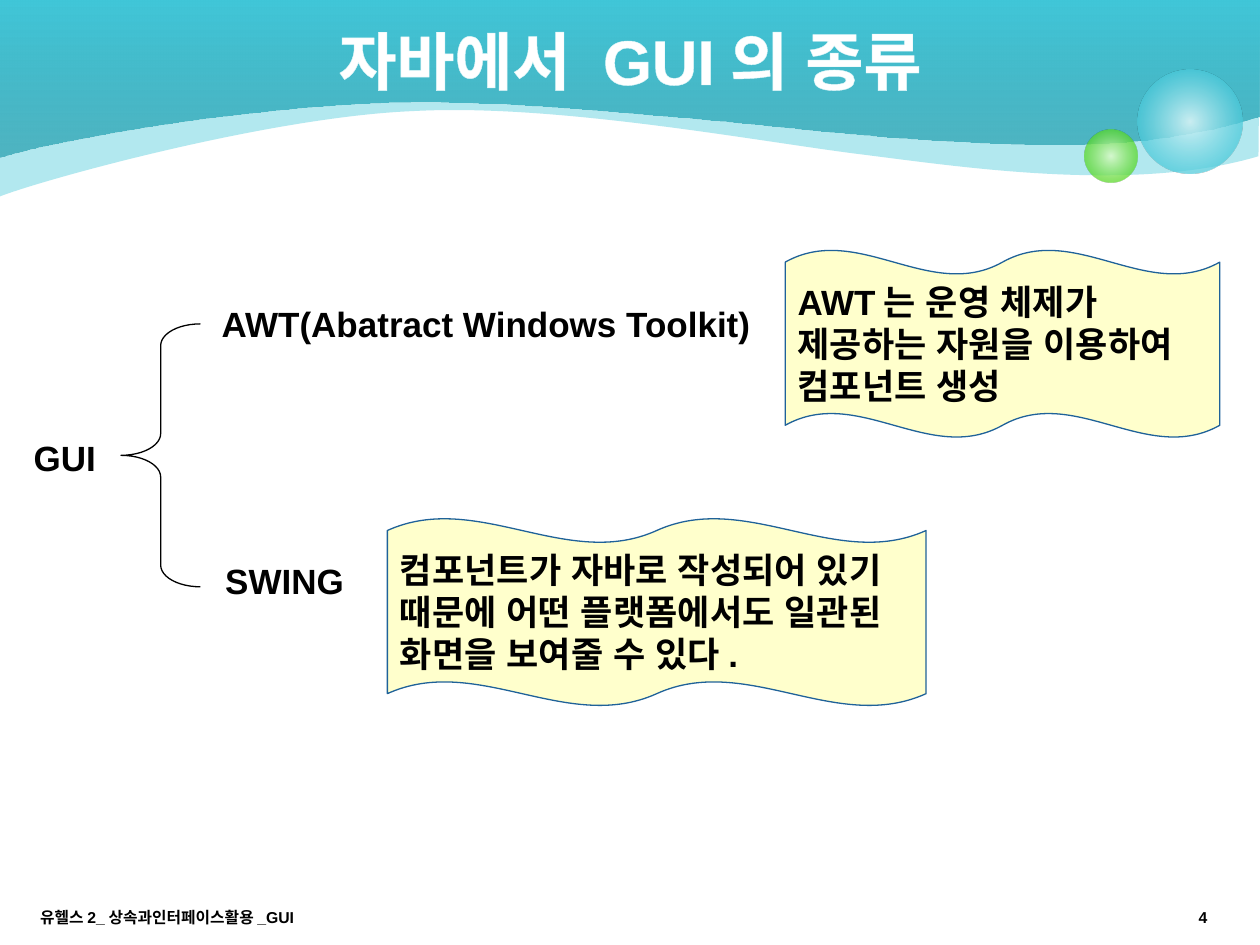
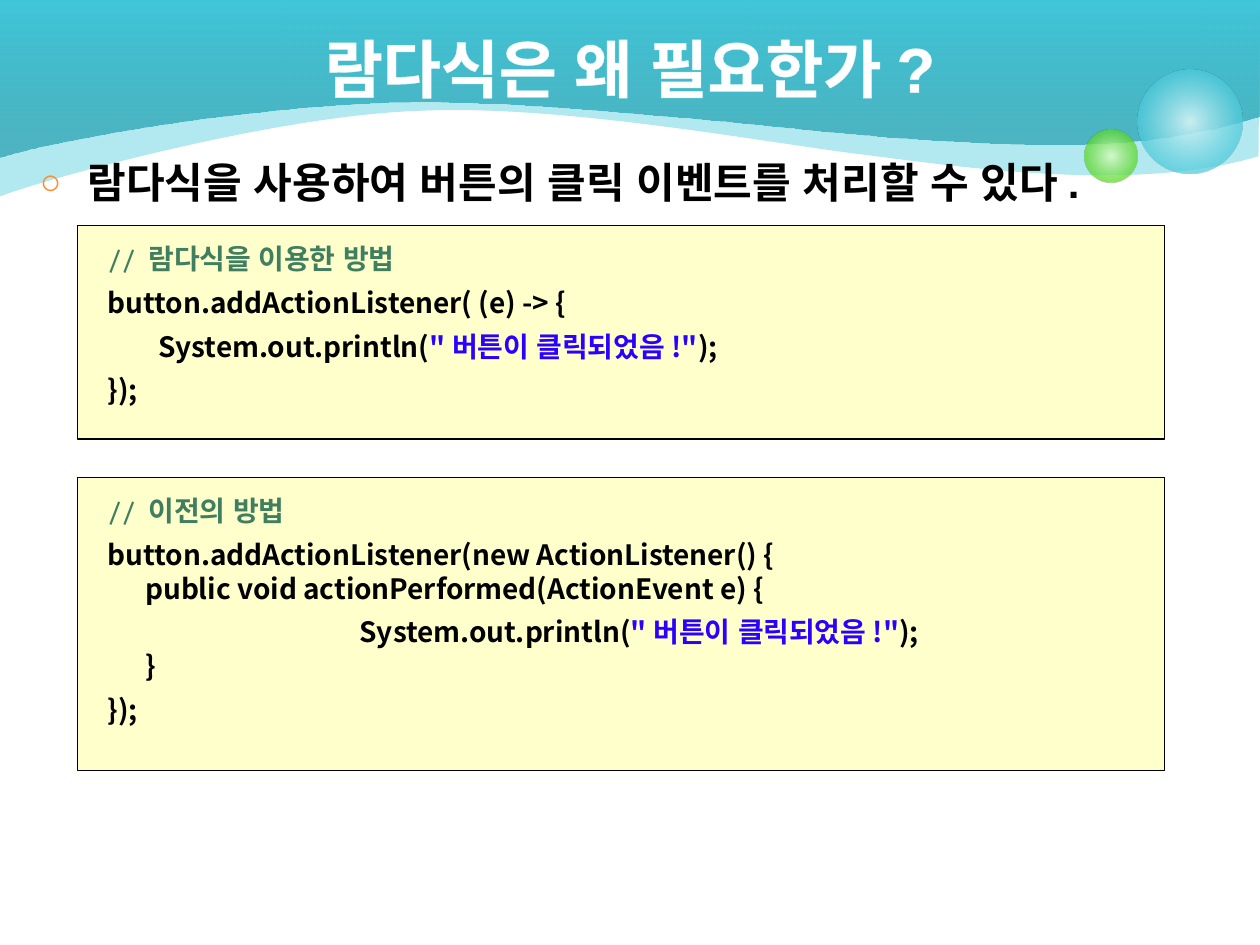
import dataclasses

import pptx
import pptx.dml.color
import pptx.enum.shapes
import pptx.enum.text
import pptx.oxml
import pptx.oxml.ns
import pptx.util

Cm = pptx.util.Cm
Pt = pptx.util.Pt
Preset = pptx.enum.shapes.MSO_SHAPE
Align = pptx.enum.text.PP_ALIGN
Anchor = pptx.enum.text.MSO_ANCHOR
AutoSize = pptx.enum.text.MSO_AUTO_SIZE


@dataclasses.dataclass(frozen=True)
class Theme:
    """Colours, fonts and type sizes of the deck."""
    ink: str = "000000"
    white: str = "FFFFFF"
    aqua: str = "40C6D8"
    deep_aqua: str = "249EAE"
    pale_aqua: str = "D9F4F7"
    green: str = "4CD416"
    pale_green: str = "DAFACD"
    orange: str = "FE8C2E"
    note: str = "FFFFCC"
    note_edge: str = "1F6299"
    comment: str = "3F7F5F"
    string: str = "2A00FF"
    main: str = "Arial"
    serif: str = "Cambria"
    korean: str = "Noto Sans CJK KR"
    title_size: int = 36
    lead_size: int = 24
    label_size: int = 20
    code_size: int = 16
    footer_size: int = 9


THEME = Theme()
WIDTH, HEIGHT = 25.4, 19.05
CODE_TABS = (0.76, 2.54, 5.08)
BACK_WAVE = [(0, 3.96), (0.84, 3.63), (5.41, 2.36), (8.33, 2.24), (11.23, 2.08),
             (15.37, 2.87), (17.42, 3.12), (19.48, 3.38), (22.89, 3.89), (25.37, 3.15)]
FRONT_WAVE = [(0, 3.18), (1.14, 2.82), (5.16, 2.11), (8.28, 2.06), (11.38, 2.01),
              (16.71, 2.72), (18.69, 2.82), (20.7, 2.92), (22.89, 3.12), (25.37, 2.36)]
PRINT_SPANS = [("System.out.println(", "ink", "korean"),
               ('"버튼이 클릭되었음!"', "string", "korean"), (");", "ink", "korean")]
LAMBDA_CODE = [
    (1.3, [("// ", "comment", "serif"), ("람다식을 이용한 방법", "comment", "korean")]),
    (1.3, [("button.addActionListener( (e) -> {", "ink", "korean")]),
    (1.3, [("        " + PRINT_SPANS[0][0], "ink", "korean"), *PRINT_SPANS[1:]]),
    (1.3, [("});", "ink", "korean")]),
]
LISTENER_CODE = [
    (1.3, [("// 이전의 ", "comment", "serif"), ("방법", "comment", "korean")]),
    (1.3, [("button.addActionListener(new ActionListener() {", "ink", "korean")]),
    (1, [("\tpublic void actionPerformed(ActionEvent e) {", "ink", "korean")]),
    (1.3, [("\t\t\t" + PRINT_SPANS[0][0], "ink", "korean"), *PRINT_SPANS[1:]]),
    (1, [("\t}", "ink", "korean")]),
    (1.3, [("});", "ink", "korean")]),
]


def rgb(code):
    """Turn a hex code into a colour."""
    return pptx.dml.color.RGBColor.from_string(code)


def element(tag, body="", **attributes):
    """Make a drawing element with optional inner markup."""
    listed = "".join(f' {name}="{value}"' for name, value in attributes.items())
    return pptx.oxml.parse_xml(f'<a:{tag} {pptx.oxml.ns.nsdecls("a")}{listed}>{body}</a:{tag}>')


def colour(code, opacity=100):
    """Give the markup of a colour with its opacity in percent."""
    return f'<a:srgbClr val="{code}"><a:alpha val="{opacity * 1000}"/></a:srgbClr>'


def gradient(stops, direction):
    """Make a gradient fill from (position, colour, opacity) stops."""
    marks = "".join(f'<a:gs pos="{place * 1000}">{colour(code, opacity)}</a:gs>'
                    for place, code, opacity in stops)
    return element("gradFill", f"<a:gsLst>{marks}</a:gsLst>{direction}", rotWithShape=1)


def write(para, text, size, color=THEME.ink, latin=THEME.main, outline=None, align=None):
    """Append bold text to a paragraph in the given format."""
    if align is not None:
        para.alignment = align
    span = para.add_run()
    span.text = text
    font = span.font
    font.size, font.bold, font.name = Pt(size), True, latin
    font.color.rgb = rgb(color)
    properties = span._r.get_or_add_rPr()
    properties.find(pptx.oxml.ns.qn("a:latin")).addnext(element("ea", typeface=THEME.main))
    if outline:
        properties.insert(0, element("ln", f"<a:solidFill>{colour(outline)}</a:solidFill>", w=6350))


def style(shape, fill=None, line=None):
    """Set the plain fill and thin outline of a shape."""
    shape.shadow.inherit = False
    if fill:
        shape.fill.solid()
        shape.fill.fore_color.rgb = rgb(fill)
    else:
        shape.fill.background()
    if line:
        shape.line.color.rgb = rgb(line)
        shape.line.width = Pt(0.75)
    else:
        shape.line.fill.background()
    return shape


def add_preset(page, preset, place, adjustments=(), **look):
    """Add a preset shape at left, top, width and height in centimetres."""
    shape = page.shapes.add_shape(preset, *map(Cm, place))
    for index, value in enumerate(adjustments):
        shape.adjustments[index] = value
    return style(shape, **look)


def paint(shape, fill):
    """Give a shape a translucent fill and no outline."""
    style(shape)
    properties = shape.element.spPr
    properties.replace(properties.find(pptx.oxml.ns.qn("a:noFill")), fill)
    return shape


def bend(shape, first, last):
    """Turn each three line segments from first up to last into one cubic curve."""
    segments = shape.element.xpath(".//a:lnTo")[first:last]
    for start in range(0, len(segments), 3):
        group = segments[start:start + 3]
        curve = element("cubicBezTo")
        group[0].addprevious(curve)
        for segment in group:
            curve.append(segment[0])
            segment.getparent().remove(segment)


def add_wave(page, nodes, fill):
    """Add a band from the page top down to a wavy edge."""
    builder = page.shapes.build_freeform(0, 0)
    outline = nodes + [(WIDTH, 0)]
    builder.add_line_segments([(Cm(x), Cm(y)) for x, y in outline], close=True)
    wave = builder.convert_to_shape()
    bend(wave, 1, len(nodes))
    return paint(wave, fill)


def add_bubble(page, left, top, size, pale, strong):
    """Add a translucent round bubble."""
    direction = ('<a:path path="circle"><a:fillToRect l="50000" t="50000" r="50000" b="50000"/>'
                 '</a:path>')
    fill = gradient([(0, pale, 90), (76, strong, 70)], direction)
    return paint(add_preset(page, Preset.OVAL, (left, top, size, size)), fill)


def decorate_master(deck, page):
    """Draw the header art and move it to the slide master."""
    art = [
        add_wave(page, BACK_WAVE, element("solidFill", colour(THEME.aqua, 40))),
        add_wave(page, FRONT_WAVE, gradient(
            [(0, THEME.deep_aqua, 69), (100, THEME.aqua, 100)], '<a:lin ang="16200000" scaled="0"/>')),
        add_bubble(page, 22.94, 1.4, 2.1, THEME.pale_aqua, THEME.aqua),
        add_bubble(page, 21.87, 2.61, 1.06, THEME.pale_green, THEME.green),
    ]
    tree = deck.slide_master.shapes.element
    for index, shape in enumerate(art):
        shape.element.nvSpPr.cNvPr.set("id", str(100 + index))
        tree.insert(2 + index, shape.element)


def move(shape, left, top, width, height):
    """Place a shape by centimetres."""
    shape.left, shape.top, shape.width, shape.height = map(Cm, (left, top, width, height))


def set_title(page, text, height):
    """Fill the title placeholder."""
    title = page.shapes.title
    move(title, 1.27, 0, 22.86, height)
    title.text_frame.vertical_anchor = Anchor.MIDDLE
    write(title.text_frame.paragraphs[0], text, THEME.title_size, color=THEME.white,
          outline=THEME.pale_aqua, align=Align.CENTER)


def set_lead(page, text):
    """Fill the body placeholder with one ring-bulleted line."""
    body = page.placeholders[1]
    move(body, 0.55, 3.03, 24.23, 14.88)
    para = body.text_frame.paragraphs[0]
    properties = para._p.get_or_add_pPr()
    properties.set("marL", str(Cm(0.96)))
    properties.set("indent", str(-Cm(0.96)))
    properties.extend([element("buClr", colour(THEME.orange)),
                       element("buSzPct", val=85000), element("buChar", char="○")])
    para.space_before = Pt(0)
    write(para, text, THEME.lead_size)


def add_label(page, text, *place):
    """Add a one-line label that grows with its text."""
    frame = page.shapes.add_textbox(*map(Cm, place)).text_frame
    frame.word_wrap = False
    frame.auto_size = AutoSize.SHAPE_TO_FIT_TEXT
    write(frame.paragraphs[0], text, THEME.label_size)


def add_note(page, text, *place):
    """Add a wavy note."""
    note = add_preset(page, Preset.DOUBLE_WAVE, place, (0.065, 0),
                      fill=THEME.note, line=THEME.note_edge)
    frame = note.text_frame
    frame.word_wrap = True
    frame.auto_size = AutoSize.SHAPE_TO_FIT_TEXT
    frame.vertical_anchor = Anchor.TOP
    write(frame.paragraphs[0], text, THEME.label_size, align=Align.LEFT)


def add_footer(page, text, left, width, align):
    """Add a small footer text."""
    frame = page.shapes.add_textbox(Cm(left), Cm(18.15), Cm(width), Cm(0.69)).text_frame
    frame.word_wrap = True
    frame.vertical_anchor = Anchor.MIDDLE
    write(frame.paragraphs[0], text, THEME.footer_size, align=align)


def add_code(page, lines, top, height):
    """Add a framed box of coloured code."""
    box = add_preset(page, Preset.RECTANGLE, (1.57, top, 21.91, height),
                     fill=THEME.note, line=THEME.ink)
    frame = box.text_frame
    frame.word_wrap = True
    frame.vertical_anchor = Anchor.TOP
    stops = "".join(f'<a:tab pos="{Cm(tab)}" algn="l"/>' for tab in CODE_TABS)
    for index, (spacing, spans) in enumerate(lines):
        para = frame.add_paragraph() if index else frame.paragraphs[0]
        properties = para._p.get_or_add_pPr()
        properties.set("marL", str(Cm(0.35)))
        properties.append(element("tabLst", stops))
        para.line_spacing = float(spacing)
        for text, color, font in spans:
            write(para, text, THEME.code_size, color=getattr(THEME, color),
                  latin=getattr(THEME, font), align=Align.LEFT)


def build_gui_kinds(page):
    """Show the two GUI toolkits as a bracketed tree."""
    set_title(page, "자바에서 GUI의 종류", 2.41)
    add_preset(page, Preset.LEFT_BRACE, (2.44, 6.53, 1.6, 5.3), (0.274, 0.5), line=THEME.ink)
    add_label(page, "GUI", 0.43, 8.67, 1.78, 1.12)
    add_label(page, "AWT(Abatract Windows Toolkit)", 4.22, 5.97, 11.46, 1.12)
    add_label(page, "SWING", 4.29, 11.15, 2.95, 1.12)
    add_note(page, "AWT는 운영 체제가 제공하는 자원을 이용하여 컴포넌트 생성", 15.83, 5.04, 8.76, 3.78)
    add_note(page, "컴포넌트가 자바로 작성되어 있기 때문에 어떤 플랫폼에서도 일관된 화면을 보여줄 수 있다.",
             7.81, 10.45, 10.86, 3.78)
    add_footer(page, "4", 18.67, 5.92, Align.RIGHT)
    add_footer(page, "유헬스2_상속과인터페이스활용_GUI", 0.56, 8.05, Align.LEFT)


def build_lambda_need(page):
    """Compare the lambda listener with the older listener."""
    set_title(page, "람다식은 왜 필요한가?", 2.72)
    set_lead(page, "람다식을 사용하여 버튼의 클릭 이벤트를 처리할 수 있다.")
    add_code(page, LAMBDA_CODE, 4.55, 4.3)
    add_code(page, LISTENER_CODE, 9.63, 5.91)


def main():
    """Build and save the deck."""
    deck = pptx.Presentation()
    deck.slide_width, deck.slide_height = Cm(WIDTH), Cm(HEIGHT)
    kinds_page = deck.slides.add_slide(deck.slide_layouts[5])
    decorate_master(deck, kinds_page)
    build_gui_kinds(kinds_page)
    build_lambda_need(deck.slides.add_slide(deck.slide_layouts[1]))
    deck.save("out.pptx")


if __name__ == "__main__":
    main()
